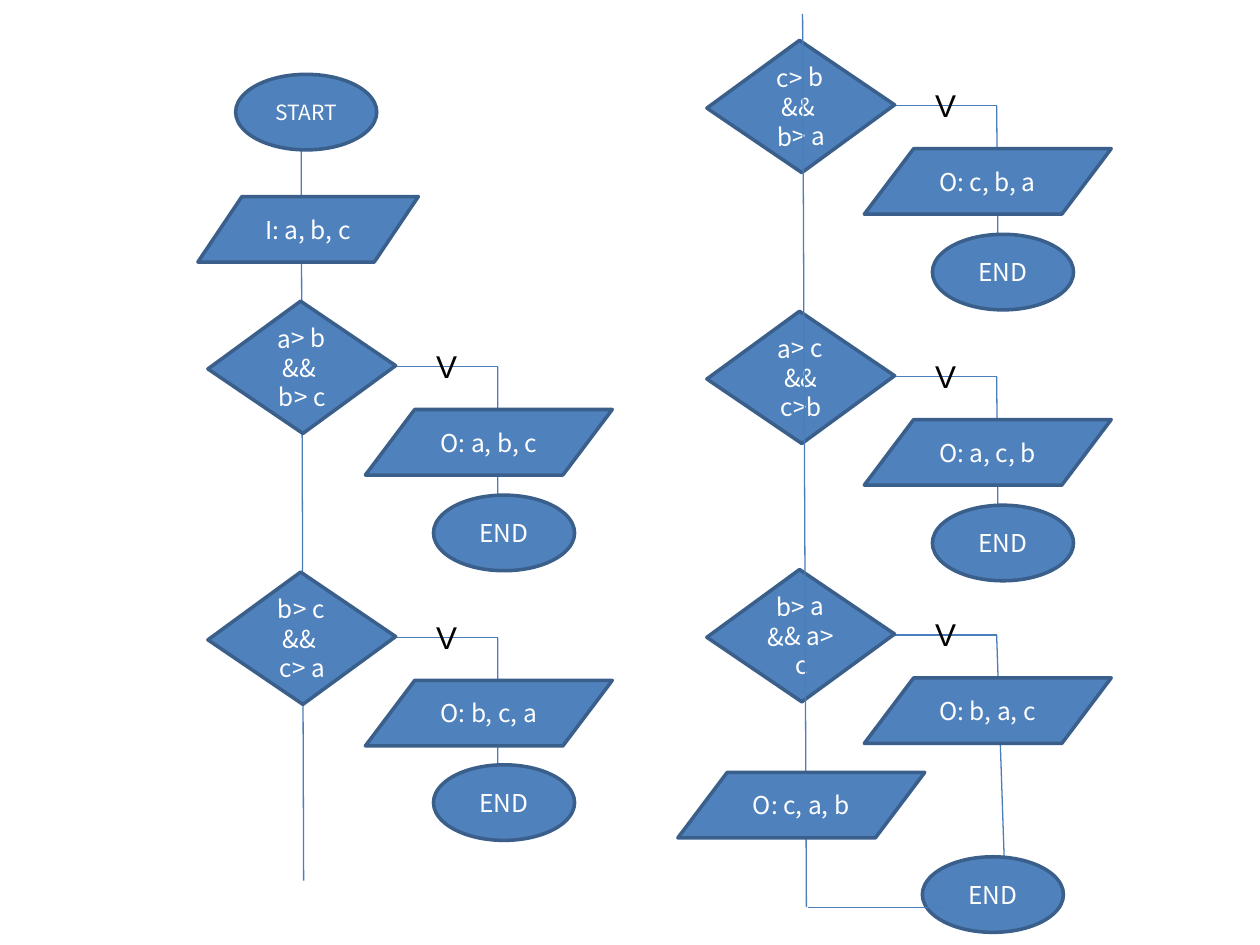
from pptx import Presentation
from pptx.dml.color import RGBColor
from pptx.enum import shapes, text
from pptx.oxml import parse_xml
from pptx.oxml.ns import nsdecls
from pptx.util import Inches, Pt

FILL = RGBColor(0x4F, 0x81, 0xBD)
OUTLINE = RGBColor(0x3A, 0x5F, 0x8B)
FLOW = RGBColor(0x4A, 0x7E, 0xBB)
WHITE = RGBColor(0xFF, 0xFF, 0xFF)
BLACK = RGBColor(0, 0, 0)

TERMINAL = (shapes.MSO_SHAPE.OVAL, 1.12, 0.6)
DATA = (shapes.MSO_SHAPE.FLOWCHART_DATA, 1.96, 0.52)
INPUT = (shapes.MSO_SHAPE.FLOWCHART_DATA, 1.75, 0.52)
DECISION = (shapes.MSO_SHAPE.DIAMOND, 1.49, 1.05)

prs = Presentation()
prs.slide_width, prs.slide_height = Inches(10), Inches(7.5)
slide = prs.slides.add_slide(prs.slide_layouts[6])


def add_step(kind, x, y, wording, size=14):
    preset, width, height = kind
    step = slide.shapes.add_shape(
        preset, Inches(x), Inches(y), Inches(width), Inches(height))
    step.shadow.inherit = False
    step.fill.solid()
    step.fill.fore_color.rgb = FILL
    step.line.color.rgb = OUTLINE
    step.line.width = Pt(2)
    frame = step.text_frame
    frame.word_wrap = True
    frame.vertical_anchor = text.MSO_ANCHOR.MIDDLE
    frame.text = wording
    for paragraph in frame.paragraphs:
        paragraph.alignment = text.PP_ALIGN.CENTER
        paragraph.font.name = "Noto Sans CJK JP"
        paragraph.font.size = Pt(size)
        paragraph.font.color.rgb = WHITE
    return step


def add_flow(x1, y1, x2, y2):
    flow = slide.shapes.add_connector(
        shapes.MSO_CONNECTOR.STRAIGHT,
        Inches(x1), Inches(y1), Inches(x2), Inches(y2))
    flow.line.color.rgb = FLOW
    flow.line.width = Pt(0.75)
    flow._element.spPr.append(parse_xml(f"<a:effectLst {nsdecls('a')}/>"))


# Left trunk with start and input
add_flow(2.41, 6.99, 2.39, 1.04)
add_step(TERMINAL, 1.87, 0.59, "START", 12)
add_step(INPUT, 1.57, 1.56, "I: a, b, c")

# Decisions: left, top, condition, output, end of the downward flow, END position
LEFT, RIGHT = 1.65, 5.61
branches = [
    (LEFT, 2.39, "a> b && \nb> c", "O: a, b, c", (3.95, 3.94), (3.44, 3.93)),
    (LEFT, 4.54, "b> c && \nc> a", "O: b, c, a", (3.95, 6.08), (3.44, 6.07)),
    (RIGHT, 0.32, "c> b && \nb> a", "O: c, b, a", (7.92, 1.87), (7.4, 1.86)),
    (RIGHT, 2.47, "a> c && c>b", "O: a, c, b", (7.92, 4.01), (7.4, 4.01)),
    (RIGHT, 4.52, "b> a && a> c", "O: b, a, c", (7.97, 6.81), (7.32, 6.8)),
]
for x, y, condition, output, flow_end, end_at in branches:
    exit_x, corner_x, exit_y = x + 1.49, x + 2.3, y + 0.52
    add_flow(exit_x, exit_y, corner_x, exit_y)

    # "True" label on the branch
    label = slide.shapes.add_textbox(
        Inches(exit_x), Inches(exit_y - 0.2), Inches(0.81), Inches(0.4))
    frame = label.text_frame
    frame.word_wrap = True
    frame.auto_size = text.MSO_AUTO_SIZE.SHAPE_TO_FIT_TEXT
    frame.vertical_anchor = text.MSO_ANCHOR.MIDDLE
    frame.margin_top = Inches(0.07)
    frame.text = "V"
    paragraph = frame.paragraphs[0]
    paragraph.alignment = text.PP_ALIGN.CENTER
    paragraph.line_spacing = 0.93
    paragraph.font.name = "Arial"
    paragraph.font.size = Pt(18)
    paragraph.font.color.rgb = BLACK

    add_flow(corner_x, exit_y, *flow_end)
    add_step(DECISION, x, y, condition).rotation = 359
    add_step(DATA, x + 1.25, y + 0.86, output)
    add_step(TERMINAL, *end_at, "END")

# Right trunk, its last output and the return to END
add_flow(6.37, 0.11, 6.4, 7.2)
add_flow(7.5, 7.2, 6.41, 7.2)
add_step(DATA, 5.38, 6.13, "O: c, a, b")

prs.save("out.pptx")
